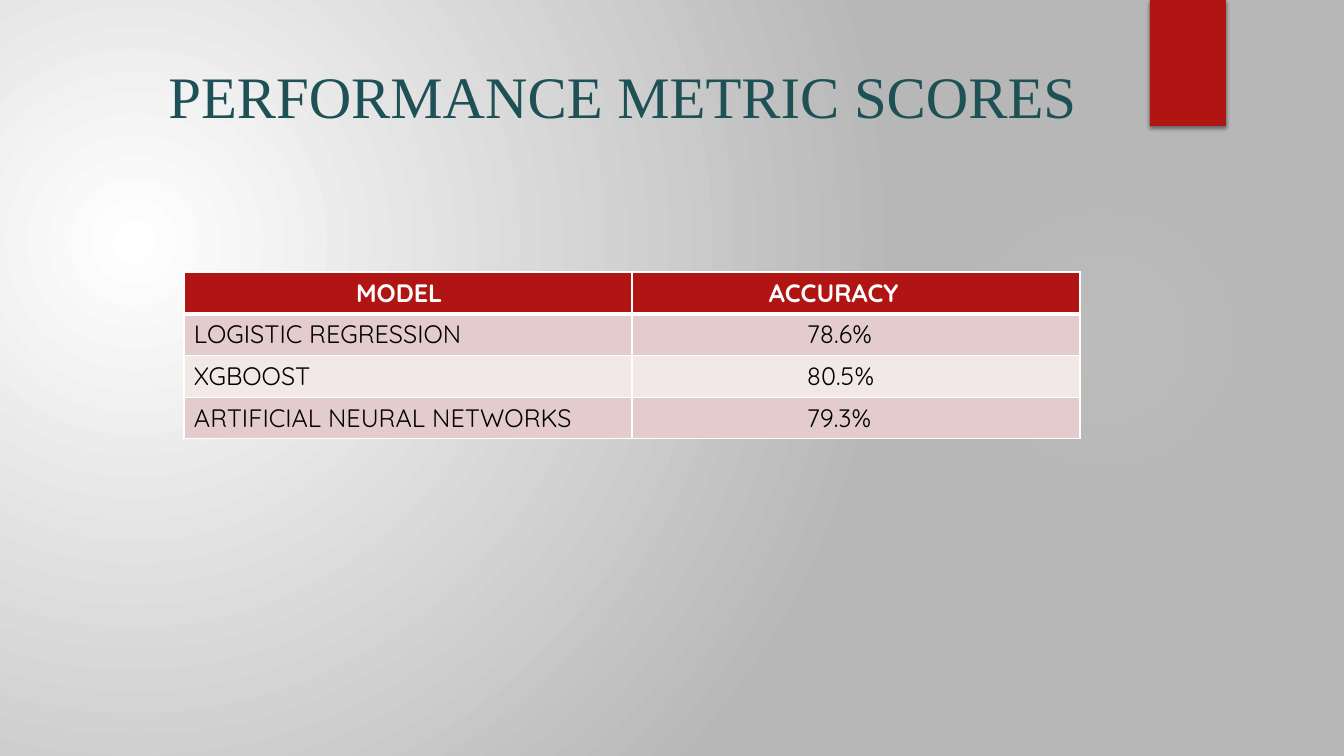
from pptx import Presentation
from pptx.dml.color import RGBColor
from pptx.enum.shapes import MSO_SHAPE
from pptx.enum.text import MSO_ANCHOR, MSO_AUTO_SIZE, PP_ALIGN
from pptx.oxml import parse_xml
from pptx.oxml.ns import nsdecls, qn
from pptx.util import Pt

SLIDE_SIZE = (1344, 756)
TITLE = "PERFORMANCE METRIC SCORES"
TITLE_BOX = (104, 48, 1037, 154)
TITLE_TOP_MARGIN = 12
ROWS = [
    ("MODEL", "ACCURACY"),
    ("LOGISTIC REGRESSION", "78.6%"),
    ("XGBOOST", "80.5%"),
    ("ARTIFICIAL NEURAL NETWORKS", "79.3%"),
]
TABLE_CORNER = (184, 272)
COLUMN_WIDTH, ROW_HEIGHT = 448, 41
HEADER_INDENTS = (172, 137)
BODY_INDENTS = (10, 175)
RED, WHITE, BLACK, TEAL = "B01513", "FFFFFF", "000000", "1E5155"
BANDS = ("E4CCCC", "F2E8E7")
BACKGROUND_STOPS = [(0, WHITE, 100), (100, "B7B7B7", 100)]
GLOW_STOPS = [(0, "F3F3F3", 7), (36, "F3F3F3", 6), (69, "F3F3F3", 0)]
GLOW_BOX = (949, 184, 310, 310)
RIBBON_BOX = (1150, 0, 76, 126)


def px(length):
    return round(length * 914400 / 100.8)


def color(value):
    return RGBColor.from_string(value)


def make_radial(element, stops, focus):
    stop_xml = "".join(
        f'<a:gs pos="{place * 1000}"><a:srgbClr val="{value}">'
        f'<a:alpha val="{opacity * 1000}"/></a:srgbClr></a:gs>'
        for place, value, opacity in stops
    )
    edges = " ".join(f'{side}="{part * 1000}"' for side, part in zip("ltrb", focus))
    solid = element.find(".//" + qn("a:solidFill"))
    solid.getparent().replace(solid, parse_xml(
        f'<a:gradFill {nsdecls("a")} rotWithShape="1"><a:gsLst>{stop_xml}</a:gsLst>'
        f'<a:path path="circle"><a:fillToRect {edges}/></a:path></a:gradFill>'
    ))


def add_plain_shape(page, kind, box, fill):
    shape = page.shapes.add_shape(kind, *map(px, box))
    shape.shadow.inherit = False
    shape.fill.solid()
    shape.fill.fore_color.rgb = color(fill)
    shape.line.fill.background()
    return shape


def add_title(page):
    title = page.shapes.title
    title.left, title.top, title.width, title.height = map(px, TITLE_BOX)
    frame = title.text_frame
    frame.text = TITLE
    frame.word_wrap = True
    frame.auto_size = MSO_AUTO_SIZE.NONE
    frame.vertical_anchor = MSO_ANCHOR.TOP
    frame.margin_top = px(TITLE_TOP_MARGIN)
    para = frame.paragraphs[0]
    para.alignment = PP_ALIGN.CENTER
    para.font.size = Pt(42)
    para.font.name = "Times New Roman"
    para.font.color.rgb = color(TEAL)


def add_borders(cell, row):
    widths = {"L": 1, "R": 1, "T": 3 if row == 1 else 1, "B": 3 if row == 0 else 1}
    properties = cell._tc.get_or_add_tcPr()
    for side, width in widths.items():
        properties.append(parse_xml(
            f'<a:ln{side} {nsdecls("a")} w="{Pt(width)}"><a:solidFill>'
            f'<a:srgbClr val="{WHITE}"/></a:solidFill></a:ln{side}>'
        ))


def add_scores(page):
    columns = len(ROWS[0])
    size = (COLUMN_WIDTH * columns, ROW_HEIGHT * len(ROWS))
    table = page.shapes.add_table(
        len(ROWS), columns, *map(px, TABLE_CORNER + size)
    ).table
    for row, texts in enumerate(ROWS):
        header = row == 0
        indents = HEADER_INDENTS if header else BODY_INDENTS
        for column, text in enumerate(texts):
            cell = table.cell(row, column)
            cell.text = text
            cell.margin_left = px(indents[column])
            add_borders(cell, row)
            cell.fill.solid()
            cell.fill.fore_color.rgb = color(RED if header else BANDS[(row - 1) % 2])
            font = cell.text_frame.paragraphs[0].font
            font.name = "Quicksand"
            font.size = Pt(18)
            font.bold = header
            font.color.rgb = color(WHITE if header else BLACK)


def main():
    deck = Presentation()
    deck.slide_width, deck.slide_height = map(px, SLIDE_SIZE)
    page = deck.slides.add_slide(deck.slide_layouts[5])
    page.background.fill.solid()
    page.background.fill.fore_color.rgb = color(WHITE)
    make_radial(page.element, BACKGROUND_STOPS, (45, 65, 125, 100))

    glow = add_plain_shape(page, MSO_SHAPE.OVAL, GLOW_BOX, WHITE)
    make_radial(glow.element, GLOW_STOPS, (50, 50, 50, 50))
    ribbon = add_plain_shape(page, MSO_SHAPE.RECTANGLE, RIBBON_BOX, RED)
    ribbon.element.spPr.find(qn("a:effectLst")).append(parse_xml(
        f'<a:outerShdw {nsdecls("a")} blurRad="{Pt(3)}" dist="{Pt(2)}" dir="5400000">'
        f'<a:srgbClr val="{BLACK}"><a:alpha val="45000"/></a:srgbClr></a:outerShdw>'
    ))
    add_title(page)
    add_scores(page)
    deck.save("out.pptx")


if __name__ == "__main__":
    main()
